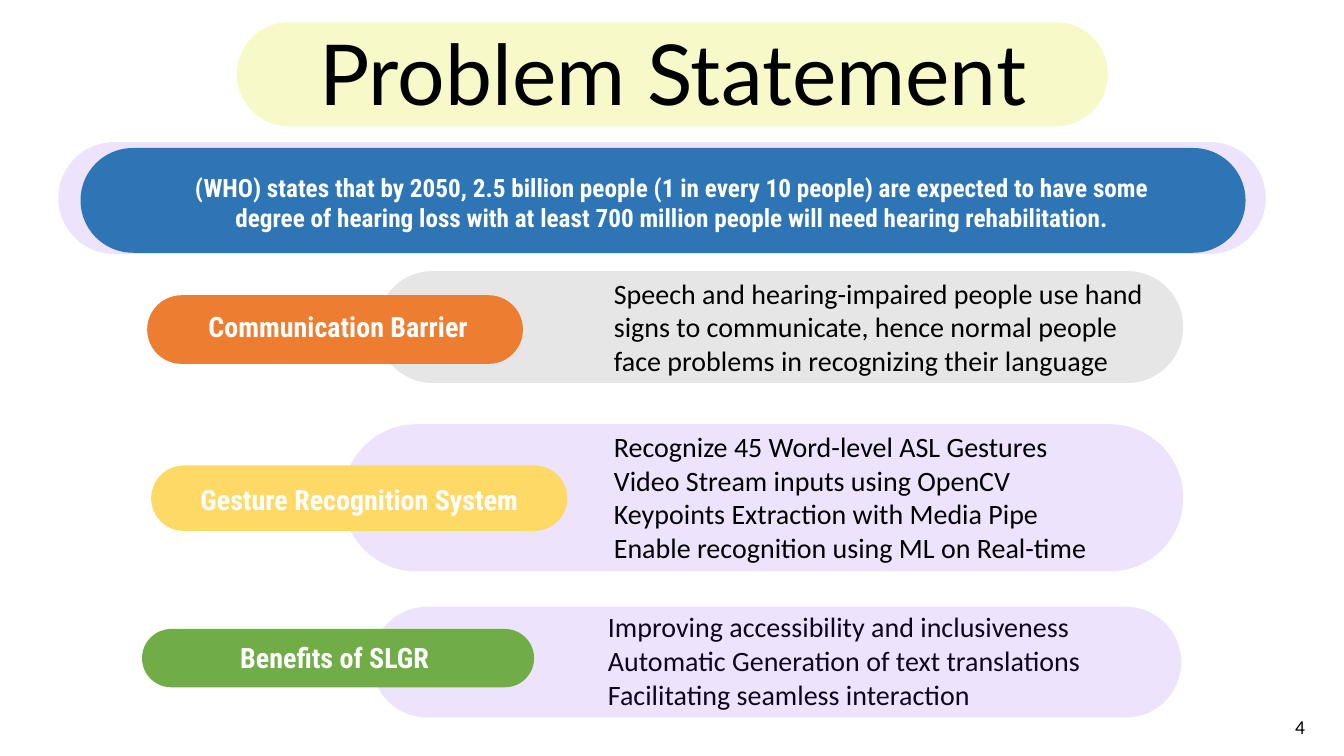
from pptx import Presentation
from pptx import util as u
from pptx.dml.color import RGBColor
from pptx.enum import shapes, text
from pptx.oxml.ns import qn
from lxml import etree

HUES = {
    "lime": "E4EA27", "violet": "8027EA", "blue": "2E75B6", "grey": "E7E6E6",
    "orange": "ED7D31", "yellow": "FFD966", "green": "70AD47",
    "white": "FFFFFF", "black": "000000",
}
HEAD = "Problem Statement"
CLAIM = ("(WHO) states that by 2050, 2.5 billion people (1 in every 10 people) are "
         "expected to have some degree of hearing loss with at least 700 million "
         "people will need hearing rehabilitation.")
ROWS = [
    {"label": "Communication Barrier",
     "lines": ["Speech and hearing-impaired people use hand signs to communicate, "
               "hence normal people face problems in recognizing their language"],
     "hue": "orange", "back": ("grey", 100), "under": False,
     "panel": (9.5, 6.83, 20.32, 2.82), "pill": (3.71, 7.44, 9.47, 1.73),
     "tag": (3.43, 7.62, 10.19, 1.22), "list": (15.14, 7.62, 14.07, 1.22)},
    {"label": "Gesture Recognition System",
     "lines": ["Recognize 45 Word-level ASL Gestures",
               "Video Stream inputs using OpenCV",
               "Keypoints Extraction with Media Pipe",
               "Enable recognition using ML on Real-time"],
     "hue": "yellow", "back": ("violet", 13), "under": False,
     "panel": (8.64, 10.69, 21.18, 3.71), "pill": (3.81, 11.73, 10.49, 1.65),
     "tag": (2.67, 11.51, 12.78, 2.16), "list": (15.14, 12.07, 17.88, 0.89)},
    {"label": "Benefits of SLGR",
     "lines": ["Improving accessibility and inclusiveness",
               "Automatic Generation of text translations",
               "Facilitating seamless interaction"],
     "hue": "green", "back": ("violet", 13), "under": True,
     "panel": (9.37, 15.29, 20.4, 2.79), "pill": (3.58, 15.85, 9.88, 1.47),
     "tag": (4.27, 15.95, 8.33, 1.22), "list": (14.99, 16.03, 15.14, 1.22)},
]

deck = Presentation()
deck.slide_width, deck.slide_height = u.Cm(33.87), u.Cm(19.05)
slide = deck.slides.add_slide(deck.slide_layouts.get_by_name("Comparison"))
title, claim, *lists = [slide.placeholders[i] for i in (0, 1, 2, 3, 4)]


def pill(box, hue, alpha=100):
    shape = slide.shapes.add_shape(
        shapes.MSO_SHAPE.ROUNDED_RECTANGLE, *map(u.Cm, box))
    shape.adjustments[0] = 0.5
    shape.shadow.inherit = False
    shape.line.fill.background()
    shape.fill.solid()
    shape.fill.fore_color.rgb = RGBColor.from_string(HUES[hue])
    if alpha < 100:
        tint = shape._element.spPr.find(".//" + qn("a:srgbClr"))
        etree.SubElement(tint, qn("a:alpha"), val=str(alpha * 1000))


def write(lines, box, holder=None, font="Calibri", size=20, hue="black",
          bold=False, align="LEFT", anchor="MIDDLE", inset=(0.33, 0.33), lead=1.0):
    shape = holder or slide.shapes.add_textbox(*map(u.Cm, box))
    shape.left, shape.top, shape.width, shape.height = map(u.Cm, box)
    slide.shapes._spTree.append(shape._element)
    frame = shape.text_frame
    frame.text = "\n".join(lines)
    frame.word_wrap = True
    frame.auto_size = text.MSO_AUTO_SIZE.NONE
    frame.vertical_anchor = text.MSO_ANCHOR[anchor]
    frame.margin_left = frame.margin_right = u.Cm(inset[0])
    frame.margin_top = frame.margin_bottom = u.Cm(inset[1])
    for para in frame.paragraphs:
        props = para._p.get_or_add_pPr()
        props.set("marL", "0")
        props.set("indent", "0")
        etree.SubElement(props, qn("a:buNone"))
        para.alignment = text.PP_ALIGN[align]
        para.line_spacing = lead
        para.space_before = u.Pt(0)
        for run in para.runs:
            run.font.name, run.font.size, run.font.bold = font, u.Pt(size), bold
            run.font.color.rgb = RGBColor.from_string(HUES[hue])


LABEL = {"font": "Roboto Condensed", "hue": "white", "bold": True, "align": "CENTER"}

pill((5.97, 0.56, 21.95, 2.62), "lime", 25)
write([HEAD], (2.06, 0.79, 29.79, 2.36), title,
      font="Lato", size=60, align="CENTER", lead=0.9)
pill((1.47, 3.58, 30.43, 2.82), "violet", 13)
pill((2.03, 3.73, 29.36, 2.64), "blue")
write([CLAIM], (4.32, 4.32, 25.22, 1.57), claim, size=18, **LABEL)

for row, holder in zip(ROWS, lists):
    if row["under"]:
        write(row["lines"], row["list"], holder)
    pill(row["panel"], *row["back"])
    pill(row["pill"], row["hue"])
    if not row["under"]:
        write(row["lines"], row["list"], holder)
    write([row["label"]], row["tag"], **LABEL)

write(["4"], (32.39, 17.88, 1.4, 0.74), size=14, anchor="TOP", inset=(0.25, 0.13))
deck.save("out.pptx")
